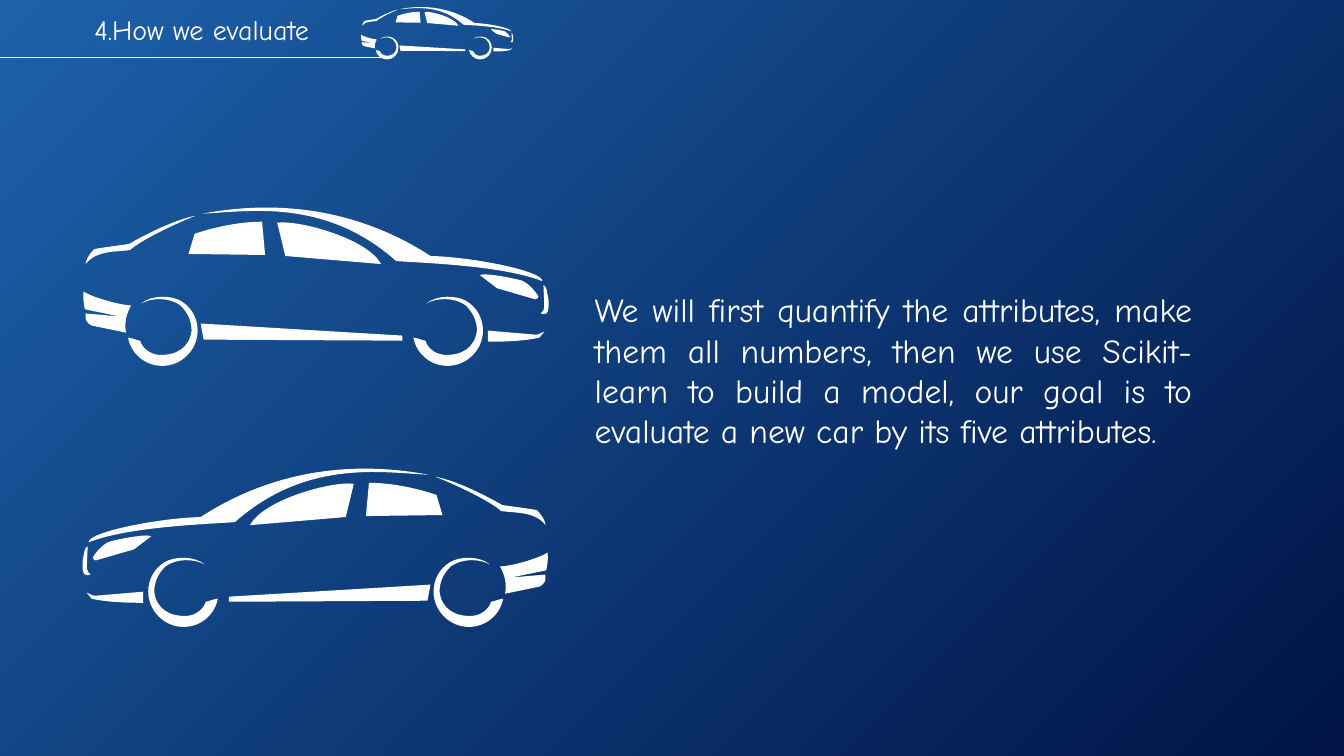
from dataclasses import dataclass

import lxml.etree
import pptx
import pptx.dml.color
import pptx.enum.shapes
import pptx.enum.text
import pptx.oxml
import pptx.oxml.ns
import pptx.util
from pptx.util import Inches


@dataclass(frozen=True)
class Theme:
    font: str = "Comic Neue"
    ink: str = "FFFFFF"
    glow: str = "1D61AA"
    deep: str = "001446"
    title_size: int = 20
    body_size: int = 24
    rule_width: int = 1


THEME = Theme()
ALIGN = pptx.enum.text.PP_ALIGN
CAR_WIDTH, CAR_HEIGHT = 4.62, 1.57
WHEEL_GAP = 2.83

WHEEL = [
    (0.58, 0.95), (0.69, 0.86, 0.89, 0.87, 0.98, 0.93),
    (1.08, 0.99, 1.14, 1.1, 1.14, 1.22), (1.14, 1.41, 0.98, 1.57, 0.79, 1.57),
    (0.62, 1.57, 0.48, 1.45, 0.45, 1.29), (0.48, 1.29, 0.55, 1.32, 0.57, 1.32),
    (0.59, 1.39, 0.66, 1.45, 0.75, 1.46), (0.93, 1.47, 1.06, 1.39, 1.08, 1.22),
    (1.08, 1.12, 1.04, 1.04, 0.97, 0.97), (0.86, 0.89, 0.69, 0.89, 0.58, 0.95),
]
BODY = {
    "roof": [
        (1.19, 0.06), (2.2, -0.13, 2.96, 0.16, 3.45, 0.48),
        (3.87, 0.49, 4.57, 0.63, 4.56, 0.73), (4.15, 0.57, 3.35, 0.55, 3.11, 0.53),
        (2.4, -0.1, 1.64, 0.04, 1.19, 0.06),
    ],
    "trunk": [
        (0.12, 0.41), (0.17, 0.4, 0.39, 0.37, 0.46, 0.36),
        (0.58, 0.29, 0.9, 0.12, 1.12, 0.08), (0.87, 0.18, 0.57, 0.33, 0.47, 0.42),
        (0.35, 0.44, 0.13, 0.42, 0.03, 0.56), (0.03, 0.5, 0.11, 0.41, 0.12, 0.41),
    ],
    "headlight": [
        (3.94, 0.67), (3.98, 0.64, 4.33, 0.71, 4.37, 0.73),
        (4.44, 0.77, 4.49, 0.83, 4.52, 0.88), (4.52, 0.89, 4.51, 0.91, 4.49, 0.91),
        (4.11, 0.8),
    ],
    "sill": [(1.17, 1.15), (3.17, 1.27), (3.17, 1.32), (1.2, 1.31)],
    "front bumper": [
        (4.02, 1.22), (4.49, 1.26), (4.5, 1.27, 4.55, 1.24, 4.58, 1.23),
        (4.53, 1.29), (4.35, 1.33, 4.13, 1.33, 4.02, 1.33),
    ],
    "grille": [
        (4.54, 1.05), (4.59, 1.01, 4.58, 1.02, 4.57, 0.77),
        (4.6, 0.78, 4.6, 0.81, 4.62, 0.91), (4.63, 1.08, 4.59, 1.06, 4.54, 1.05),
    ],
    "rear bumper": [
        (0.01, 0.83), (0.03, 0.86, 0.31, 0.96, 0.48, 0.97),
        (0.44, 1.05, 0.41, 1.12, 0.43, 1.24), (0.09, 1.17),
        (0.06, 1.16, 0.02, 1.11, 0.03, 1.09), (0.03, 1.05), (0.37, 1.08),
        (0.03, 1.01), (0.02, 1), (0.01, 0.95, 0, 0.88, 0.01, 0.83),
    ],
    "rear window": [
        (1.11, 0.26), (1.32, 0.19, 1.56, 0.14, 1.78, 0.14), (1.81, 0.47), (1.05, 0.46),
    ],
    "front window": [
        (1.93, 0.15), (2.15, 0.12, 2.83, 0.31, 2.96, 0.56), (2.01, 0.48),
    ],
}


def rgb(color):
    return pptx.dml.color.RGBColor.from_string(color)


def apply_format(target, values):
    for name, value in values.items():
        setattr(target, name, value)


def bend(sp, outline):
    qn = pptx.oxml.ns.qn
    steps = iter(sp.element.findall(".//" + qn("a:lnTo")))
    for segment in outline[1:]:
        first = next(steps)
        if len(segment) == 2:
            continue
        curve = lxml.etree.Element(qn("a:cubicBezTo"))
        first.addprevious(curve)
        for step in (first, next(steps), next(steps)):
            curve.append(step[0])
            step.getparent().remove(step)


def draw_car(s, left, top, width, height, mirrored=False):
    group = s.shapes.add_group_shape()
    parts = [(outline, 0) for outline in BODY.values()]
    parts += [(WHEEL, 0), (WHEEL, WHEEL_GAP)]
    for outline, shift in parts:
        points = []
        for segment in outline:
            for x, y in zip(segment[::2], segment[1::2]):
                across = (x + shift) / CAR_WIDTH
                across = 1 - across if mirrored else across
                points.append((Inches(left + across * width), Inches(top + y / CAR_HEIGHT * height)))
        builder = group.shapes.build_freeform(*points[0])
        builder.add_line_segments(points[1:], close=True)
        sp = builder.convert_to_shape()
        bend(sp, outline)
        sp.shadow.inherit = False
        sp.fill.solid()
        sp.fill.fore_color.rgb = rgb(THEME.ink)
        sp.line.fill.background()


def draw_text(s, left, top, width, height, text, size, align):
    sp = s.shapes.add_textbox(*map(Inches, (left, top, width, height)))
    tf = sp.text_frame
    apply_format(tf, {"word_wrap": True, "auto_size": pptx.enum.text.MSO_AUTO_SIZE.SHAPE_TO_FIT_TEXT})
    p = tf.paragraphs[0]
    p.alignment = align
    r = p.add_run()
    r.text = text
    apply_format(r.font, {"name": THEME.font, "size": pptx.util.Pt(size)})
    r.font.color.rgb = rgb(THEME.ink)


def draw_background(s):
    fill = s.background.fill
    fill.gradient()
    for stop, color in zip(fill.gradient_stops, (THEME.glow, THEME.deep)):
        stop.color.rgb = rgb(color)
    qn = pptx.oxml.ns.qn
    gradient = s.element.find(".//" + qn("a:gradFill"))
    linear = gradient.find(qn("a:lin"))
    radial = pptx.oxml.parse_xml(
        f'<a:path {pptx.oxml.ns.nsdecls("a")} path="circle">'
        '<a:fillToRect r="100000" b="100000"/></a:path>'
    )
    gradient.replace(linear, radial)


def draw_header(s, left, top, width, height):
    rule_y = Inches(top + height - 0.02)
    rule = s.shapes.add_connector(
        pptx.enum.shapes.MSO_CONNECTOR.STRAIGHT,
        Inches(left), rule_y, Inches(left + 3.82), rule_y,
    )
    rule.line.color.rgb = rgb(THEME.ink)
    rule.line.width = pptx.util.Pt(THEME.rule_width)
    effects = pptx.oxml.parse_xml(f'<a:effectLst {pptx.oxml.ns.nsdecls("a")}/>')
    rule.element.spPr.append(effects)
    draw_car(s, left + width - 1.51, top, 1.51, height)
    draw_text(s, left + 0.45, top + 0.01, 3.1, 0.44,
              "4.How we evaluate", THEME.title_size, ALIGN.CENTER)


def draw_car_pair(s, left, top, width, height):
    car_height = CAR_HEIGHT * width / CAR_WIDTH
    draw_car(s, left, top, width, car_height)
    draw_car(s, left, top + height - car_height, width, car_height, mirrored=True)


def main():
    prs = pptx.Presentation()
    apply_format(prs, {"slide_width": Inches(13.33), "slide_height": Inches(7.5)})
    s = prs.slides.add_slide(prs.slide_layouts[6])
    draw_background(s)
    draw_header(s, 0, 0.07, 5.09, 0.52)
    draw_car_pair(s, 0.82, 2.06, CAR_WIDTH, 4.16)
    draw_text(s, 5.8, 2.82, 6.12, 2.12,
              "We will first quantify the attributes, make them all numbers, then we use "
              "Scikit-learn to build a model, our goal is to evaluate a new car by its "
              "five attributes.", THEME.body_size, ALIGN.JUSTIFY)
    prs.save("out.pptx")


if __name__ == "__main__":
    main()
